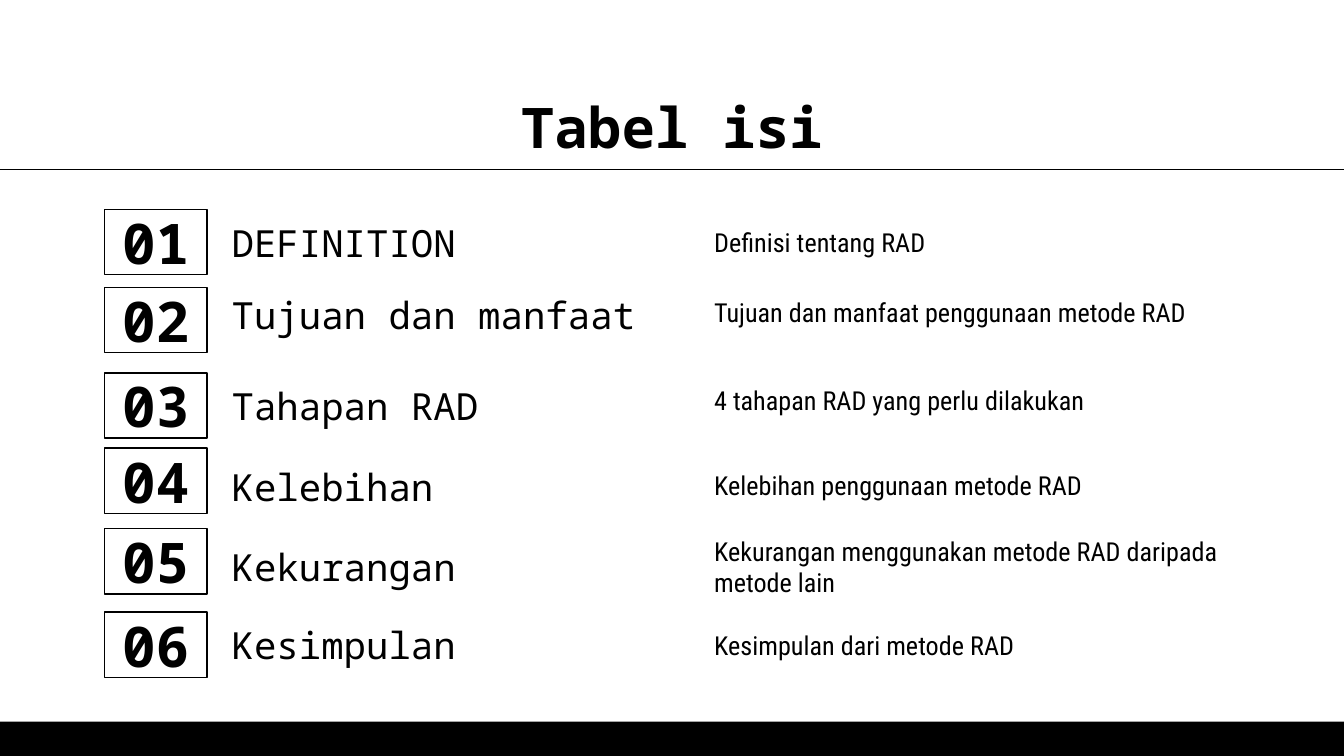
import dataclasses
import pptx
import pptx.dml.color
import pptx.enum.shapes
import pptx.enum.text
import pptx.oxml
import pptx.util

PX = 4572
ALIGN = pptx.enum.text.PP_ALIGN
ANCHOR = pptx.enum.text.MSO_ANCHOR
SHAPE = pptx.enum.shapes.MSO_SHAPE


@dataclasses.dataclass(frozen=True)
class Theme:
    """Colours, fonts and type sizes of the deck."""

    ink: str = "000000"
    paper: str = "FFFFFF"
    mono: str = "Noto Sans Mono"
    condensed: str = "Roboto Condensed"
    display_size: int = 30
    topic_size: int = 20
    detail_size: int = 14
    line_width: float = 0.75


THEME = Theme()
HEADING = {"name": THEME.mono, "size": pptx.util.Pt(THEME.display_size), "bold": True}
TOPIC = {"name": THEME.mono, "size": pptx.util.Pt(THEME.topic_size), "bold": False}
DETAIL = {"name": THEME.condensed, "size": pptx.util.Pt(THEME.detail_size), "bold": False}

ROWS = [
    (312, 0, 0, "DEFINITION", "Definisi tentang RAD"),
    (428, -8, -12, "Tujuan dan manfaat", "Tujuan dan manfaat penggunaan metode RAD"),
    (555, 0, -8, "Tahapan RAD", "4 tahapan RAD yang perlu dilakukan"),
    (667, 8, 6, "Kelebihan", "Kelebihan penggunaan metode RAD"),
    (787, 8, 8, "Kekurangan", "Kekurangan menggunakan metode RAD daripada metode lain"),
    (911, 0, 0, "Kesimpulan", "Kesimpulan dari metode RAD"),
]


def emu(*lengths):
    """Turn px lengths into EMU."""
    return [pptx.util.Emu(length * PX) for length in lengths]


def colour(value):
    """Return the colour object for a hex value."""
    return pptx.dml.color.RGBColor.from_string(value)


def write_text(shape, text, font_format, align=ALIGN.LEFT, anchor=ANCHOR.MIDDLE):
    """Fill a shape with one formatted paragraph."""
    frame = shape.text_frame
    inset = emu(20)[0]
    frame_format = {
        "word_wrap": True,
        "vertical_anchor": anchor,
        "margin_left": inset,
        "margin_top": inset,
        "margin_right": inset,
        "margin_bottom": inset,
    }
    for name, value in frame_format.items():
        setattr(frame, name, value)
    para = frame.paragraphs[0]
    para.alignment = align
    span = para.add_run()
    span.text = text
    for name, value in font_format.items():
        setattr(span.font, name, value)
    span.font.color.rgb = colour(THEME.ink)


def draw_line(line):
    """Apply the thin ink outline."""
    line.color.rgb = colour(THEME.ink)
    line.width = pptx.util.Pt(THEME.line_width)


def add_footer(page, left, top, width, height):
    """Add the solid band at the foot of the page."""
    band = page.shapes.add_shape(SHAPE.RECTANGLE, *emu(left, top, width, height))
    band.shadow.inherit = False
    band.fill.solid()
    band.fill.fore_color.rgb = colour(THEME.ink)
    band.line.fill.background()


def add_header(page, left, top, width, height):
    """Add the title and the rule beneath it."""
    title = page.shapes.add_textbox(*emu(left, top, width, height))
    write_text(title, "Tabel isi", HEADING, ALIGN.CENTER, ANCHOR.TOP)
    base = top + height
    rule = page.shapes.add_connector(
        pptx.enum.shapes.MSO_CONNECTOR.STRAIGHT, *emu(left - 160, base, left + width + 160, base)
    )
    draw_line(rule.line)
    rule._element.spPr.append(pptx.oxml.parse_xml(
        '<a:effectLst xmlns:a="http://schemas.openxmlformats.org/drawingml/2006/main"/>'
    ))


def add_row(page, left, top, width, height, number, topic, detail, shifts):
    """Add one contents row: boxed number, topic and detail."""
    badge = page.shapes.add_shape(SHAPE.RECTANGLE, *emu(left, top, 152, height))
    badge.shadow.inherit = False
    badge.fill.background()
    draw_line(badge.line)
    write_text(badge, f"{number:02}", HEADING, ALIGN.CENTER)
    columns = [(169, 700, topic, TOPIC), (887, width - 887, detail, DETAIL)]
    for (offset, span_width, text, font_format), shift in zip(columns, shifts):
        box = page.shapes.add_textbox(*emu(left + offset, top + shift, span_width, height))
        write_text(box, text, font_format)


def build_contents(deck):
    """Build the contents page."""
    page = deck.slides.add_slide(deck.slide_layouts[6])
    page.background.fill.solid()
    page.background.fill.fore_color.rgb = colour(THEME.paper)
    add_footer(page, 0, 1074, 2000, 51)
    for number, (top, topic_shift, detail_shift, topic, detail) in enumerate(ROWS, 1):
        add_row(page, 156, top, 1688, 97, number, topic, detail, (topic_shift, detail_shift))
    add_header(page, 156, 118, 1688, 134)


def main():
    """Create and save the deck."""
    deck = pptx.Presentation()
    deck.slide_width, deck.slide_height = emu(2000, 1125)
    build_contents(deck)
    deck.save("out.pptx")


if __name__ == "__main__":
    main()
